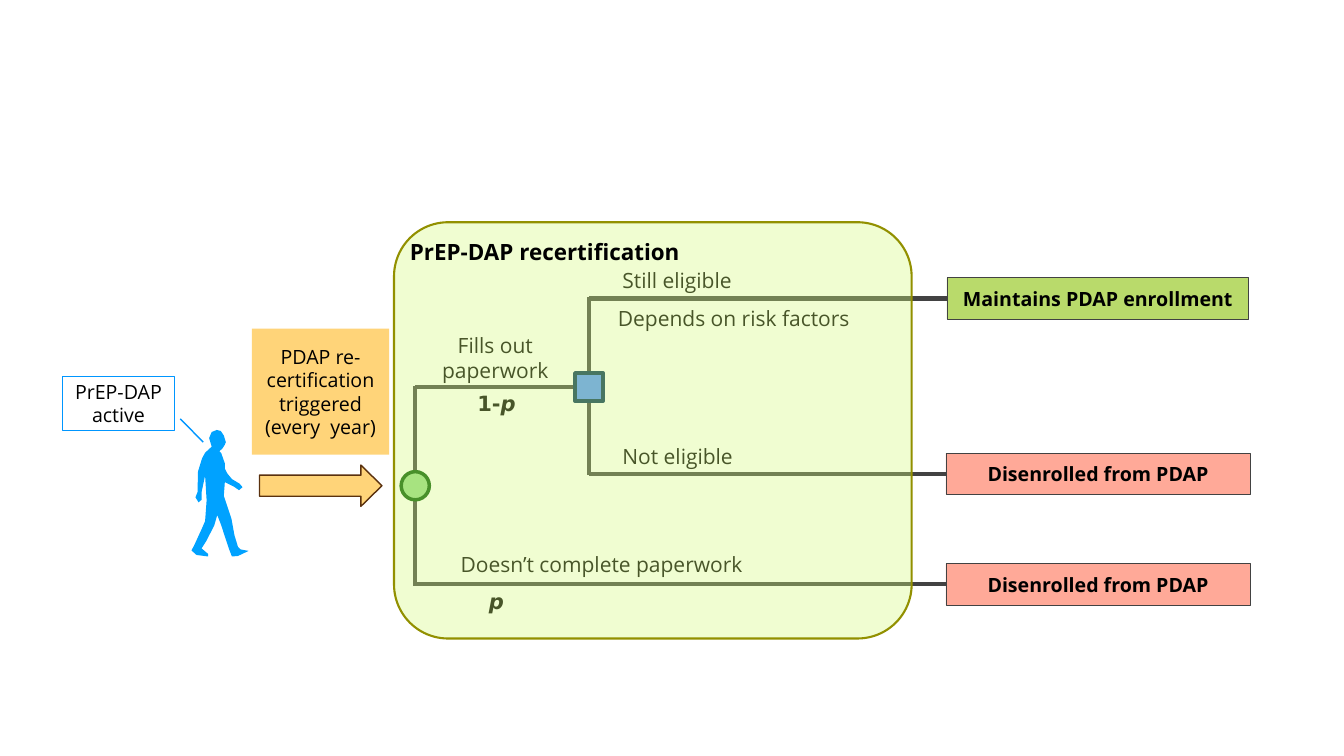
"""Build the PrEP-DAP recertification decision tree slide."""
from lxml import etree
from pptx import Presentation
from pptx.dml.color import RGBColor
from pptx.enum.shapes import MSO_CONNECTOR, MSO_SHAPE
from pptx.enum.text import MSO_ANCHOR, MSO_AUTO_SIZE, PP_ALIGN
from pptx.oxml.ns import qn
from pptx.util import Cm, Pt

BLACK = RGBColor(0x00, 0x00, 0x00)
WHITE = RGBColor(0xFF, 0xFF, 0xFF)
GREY = RGBColor(0x42, 0x42, 0x42)
AZURE = RGBColor(0x00, 0xA2, 0xFF)
BLUE = RGBColor(0x00, 0x96, 0xFF)
CORN = RGBColor(0x51, 0x90, 0xFF)
NAVY = RGBColor(0x00, 0x32, 0x55)
AMBER = RGBColor(0xFF, 0xD4, 0x79)
BROWN = RGBColor(0x5A, 0x31, 0x0E)
MINT = RGBColor(0x90, 0xD8, 0x85)
FOREST = RGBColor(0x00, 0x5A, 0x02)
GREEN = RGBColor(0xB9, 0xDA, 0x6B)
SALMON = RGBColor(0xFF, 0xA9, 0x98)
LIME = RGBColor(0xD4, 0xFB, 0x79)
OLIVE = RGBColor(0x92, 0x90, 0x00)
RECT, ROUND = MSO_SHAPE.RECTANGLE, MSO_SHAPE.ROUNDED_RECTANGLE
OVAL, ARROW = MSO_SHAPE.OVAL, MSO_SHAPE.RIGHT_ARROW
STRAIGHT = MSO_CONNECTOR.STRAIGHT
LEFT, CENTER = PP_ALIGN.LEFT, PP_ALIGN.CENTER
TOP, MIDDLE = MSO_ANCHOR.TOP, MSO_ANCHOR.MIDDLE
GROW = MSO_AUTO_SIZE.SHAPE_TO_FIT_TEXT
SANS, MATH = "Open Sans", "DejaVu Sans"
BOLD = {"bold": True}
SLANT = {"bold": True, "italic": True}
SIDES = ("margin_left", "margin_top", "margin_right", "margin_bottom")

ROOT_X, FORK_X = 20.93, 29.69
KEEP_Y, FORK_Y, DROP_Y, QUIT_Y = 15.04, 19.51, 23.88, 29.45
ROOT_Y = (FORK_Y + QUIT_Y) / 2
NODE, TALL, JOINT = 1.42, 2.08, 0.08

deck = Presentation()
deck.slide_width, deck.slide_height = Cm(67.74), Cm(38.1)
slide = deck.slides.add_slide(deck.slide_layouts[6])
shapes = slide.shapes


def block(kind, area, fill, edge=None, width=0):
    shape = shapes.add_shape(kind, *map(Cm, area))
    shape.shadow.inherit = False
    shape.fill.solid()
    shape.fill.fore_color.rgb = fill
    if edge is None:
        shape.line.fill.background()
    else:
        shape.line.color.rgb = edge
        shape.line.width = Pt(width)
    return shape


def write(shape, runs, size=28, align=CENTER, anchor=MIDDLE, pad=0, font=SANS):
    frame = shape.text_frame
    look = {"word_wrap": True, "vertical_anchor": anchor} | dict.fromkeys(SIDES, Cm(pad))
    for key, value in look.items():
        setattr(frame, key, value)
    para = frame.paragraphs[0]
    para.alignment = align
    for text, style in runs:
        run = para.add_run()
        run.text = text
        for key, value in ({"name": font, "size": Pt(size)} | style).items():
            setattr(run.font, key, value)
        run.font.color.rgb = BLACK


body = {
    "nape": [(50, 0), (40, 4), (35, 16), (40, 33), (27, 45), (21, 56)],
    "rear arm": [(13, 82), (12, 123), (8, 133), (14, 143), (20, 138), (20, 123), (27, 90)],
    "rear leg": [(30, 139), (27, 180), (21, 194), (5, 229)],
    "rear foot": [(0, 238), (10, 247), (33, 250), (33, 245), (20, 234)],
    "front leg": [(29, 220), (45, 189), (51, 168), (58, 186), (75, 237)],
    "front foot": [(80, 250), (92, 249), (113, 239), (97, 236), (92, 231)],
    "thigh": [(85, 208), (79, 175), (64, 130), (66, 103)],
    "front arm": [(84, 112), (94, 119), (101, 113), (95, 106), (80, 97), (71, 86)],
    "chest": [(66, 76), (66, 66), (59, 46), (55, 42)],
    "face": [(61, 37), (66, 29), (68, 24), (64, 11), (58, 2)],
}
outline = [point for part in body.values() for point in part]
pen = shapes.build_freeform(*outline[0], scale=Cm(0.03) * 0.85)
pen.add_line_segments(outline[1:], close=True)
walker = pen.convert_to_shape(Cm(9.65), Cm(21.67))
walker.shadow.inherit = False
walker.fill.solid()
walker.fill.fore_color.rgb = AZURE
walker.line.fill.background()

ends = {
    KEEP_Y: ("Maintains PDAP enrollment", 47.73, 15.19, GREEN),
    DROP_Y: ("Disenrolled from PDAP", 47.68, 15.32, SALMON),
    QUIT_Y: ("Disenrolled from PDAP", 47.68, 15.32, SALMON),
}
goals = {}
for row, (text, left, wide, fill) in ends.items():
    goals[row] = block(RECT, (left, row - TALL / 2, wide, TALL), fill, GREY, 1)
    write(goals[row], [(text, BOLD)])

corner = (FORK_X - NODE / 2, FORK_Y - NODE / 2, NODE, NODE)
trunks = [
    (ROOT_X, FORK_Y - JOINT, ROOT_X, QUIT_Y + JOINT),
    (FORK_X, KEEP_Y - JOINT, FORK_X, DROP_Y + JOINT),
]
branches = [
    (ROOT_X, FORK_Y, None),
    (FORK_X, KEEP_Y, goals[KEEP_Y]),
    (FORK_X, DROP_Y, goals[DROP_Y]),
    (ROOT_X, QUIT_Y, goals[QUIT_Y]),
]
lines = [(trunk, GREY, 6, None) for trunk in trunks]
lines += [((x, y, corner[0], y), GREY, 6, goal) for x, y, goal in branches]
lines.append(((10.24, 22.28, 9.09, 21.11), BLUE, 2, None))
wires = []
for points, color, width, goal in lines:
    wire = shapes.add_connector(STRAIGHT, *map(Cm, points))
    wire.line.color.rgb = color
    wire.line.width = Pt(width)
    etree.SubElement(wire._element.spPr, qn("a:effectLst"))
    if goal is not None:
        wire.end_connect(goal, 1)
    wires.append(wire)

choice = block(RECT, corner, CORN, NAVY, 5)
wires[len(trunks)].end_connect(choice, 1)
block(OVAL, (ROOT_X - NODE / 2, ROOT_Y - NODE / 2, NODE, NODE), MINT, FOREST, 5)

labels = [
    ((21.51, FORK_Y - 2.87, 6.91, 2.74), [("Fills out paperwork", {})], CENTER, SANS),
    ((23.22, FORK_Y + 0.05, 3.61, 1.55), [("1-", BOLD), ("p", SLANT)], CENTER, MATH),
    ((21.08, QUIT_Y - 1.76, 18.49, 1.52), [("Doesn’t complete paperwork", {})], CENTER, SANS),
    ((23.22, QUIT_Y + 0.05, 3.61, 1.55), [("p", SLANT)], CENTER, MATH),
    ((31.22, KEEP_Y - 1.67, 6.91, 1.52), [("Still eligible", {})], LEFT, SANS),
    ((30.33, KEEP_Y + 0.23, 13.31, 1.52), [("Depends on risk factors", {})], CENTER, SANS),
    ((31.22, DROP_Y - 1.67, 6.91, 1.52), [("Not eligible", {})], LEFT, SANS),
]
for area, runs, align, font in labels:
    label = shapes.add_textbox(*map(Cm, area))
    write(label, runs, 30, align, pad=0.15, font=font)
    label.text_frame.auto_size = GROW

status = block(RECT, (3.15, 18.97, 5.64, 2.72), WHITE, BLUE, 2)
write(status, [("PrEP-DAP active", {})])
arrow = block(ARROW, (13.08, ROOT_Y - TALL / 2, 6.17, TALL), AMBER, BROWN, 2)
arrow.adjustments[0] = arrow.adjustments[1] = 0.51
cue = block(RECT, (12.7, 16.56, 6.91, 6.35), AMBER)
write(cue, [("PDAP re-certification triggered (every  year)", {})])

stage = block(ROUND, (19.86, 11.2, 26.09, 20.98), LIME, OLIVE, 3)
stage.adjustments[0] = 0.13
tint = stage._element.spPr.find(qn("a:solidFill"))[0]
etree.SubElement(tint, qn("a:alpha"), val="34000")
write(stage, [("PrEP-DAP recertification", BOLD)], 32, LEFT, TOP)

deck.save("out.pptx")
